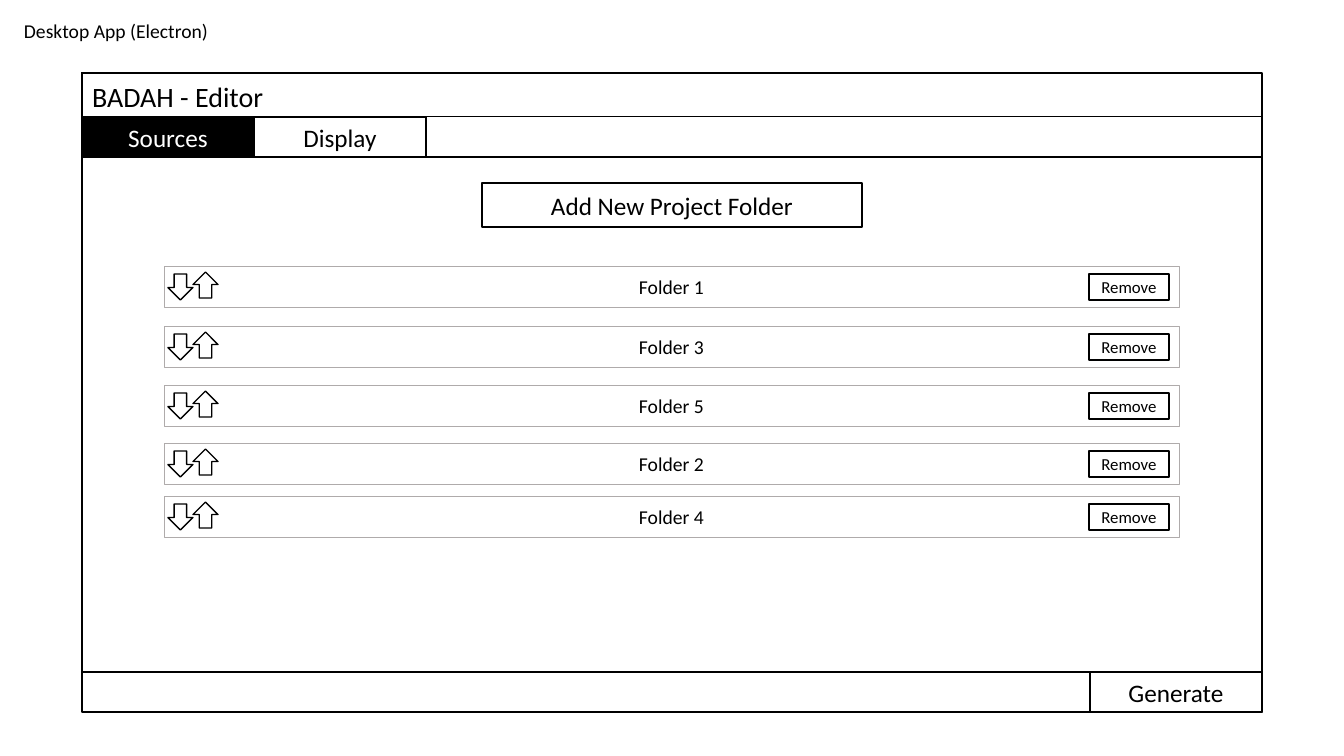
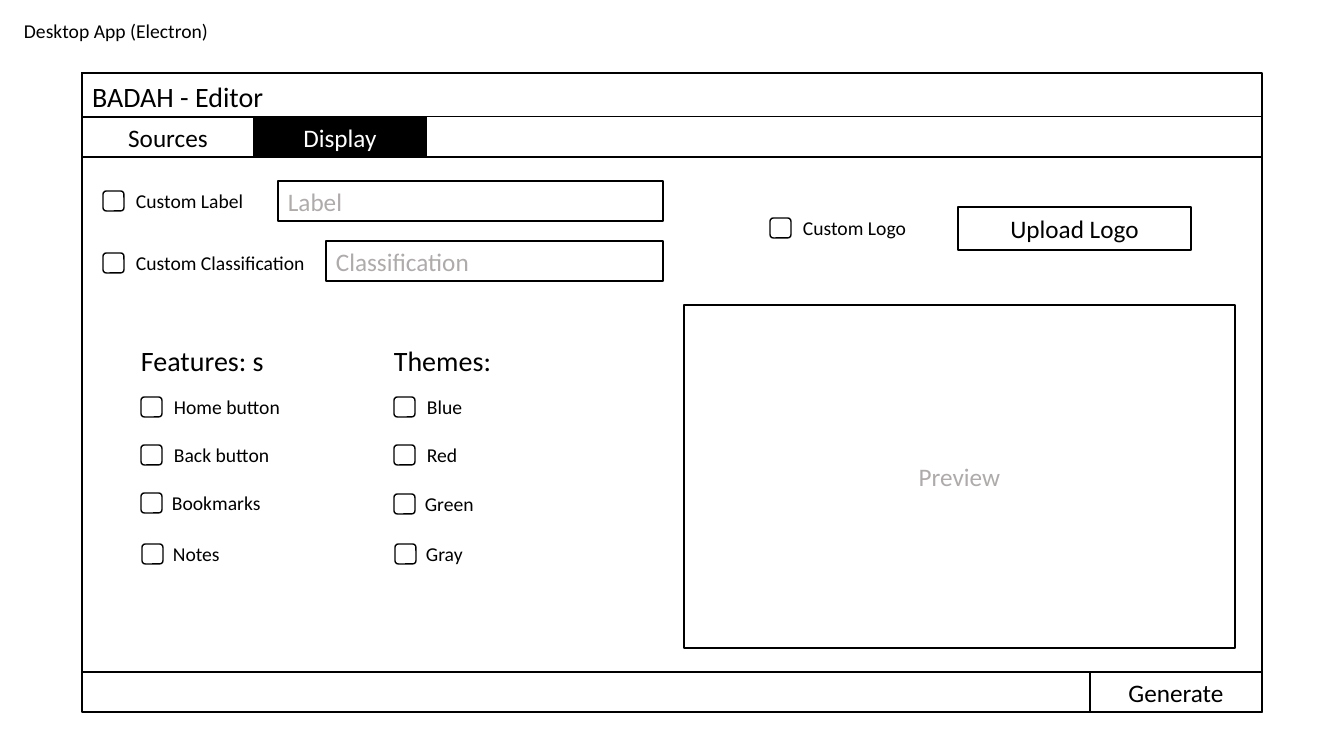
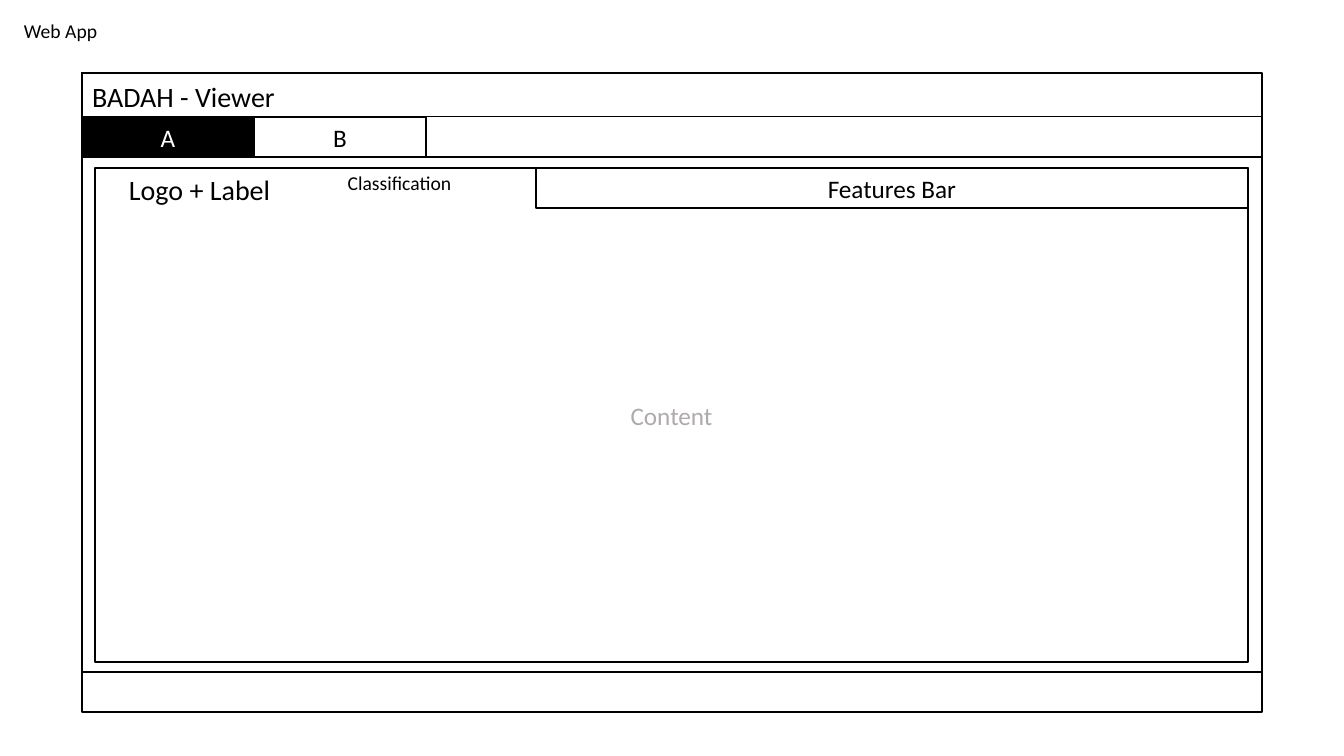
"""Build three wireframe slides of a desktop editor and its web viewer."""
from dataclasses import dataclass

import pptx
import pptx.dml.color
import pptx.enum.shapes
import pptx.enum.text
import pptx.shapes.autoshape
import pptx.slide
import pptx.text.text
import pptx.util

EMU_PER_PX = 914400 / 100.8
BLACK, WHITE, GRAY = "000000", "FFFFFF", "AFABAB"
FONT = "Calibri"
SHAPE = pptx.enum.shapes.MSO_SHAPE
ALIGN = pptx.enum.text.PP_ALIGN
ANCHOR = pptx.enum.text.MSO_ANCHOR

WIN_X, WIN_Y, WIN_W, WIN_H = 82, 73, 1180, 639
BAR_H, TAB_W, TAB_H = 44, 172, 40
TAB_Y = WIN_Y + BAR_H
BODY_Y = TAB_Y + TAB_H
FOOT_Y = WIN_Y + WIN_H - TAB_H


@dataclass(frozen=True)
class Box:
    """An outlined shape that may hold one line of text."""
    x: int
    y: int
    w: int
    h: int
    text: str = ""
    size: int = 18
    color: str = BLACK
    align: ALIGN = ALIGN.CENTER
    fill: str = ""
    line: str = BLACK
    weight: float = 1
    kind: SHAPE = SHAPE.RECTANGLE
    rotation: int = 0


@dataclass(frozen=True)
class Label:
    """A plain line of text, placed by its text box."""
    text: str
    x: int
    y: int
    w: int = 194
    h: int = 34
    size: int = 14
    align: ALIGN = ALIGN.LEFT


@dataclass(frozen=True)
class Check:
    """A checkbox with the distance to its caption."""
    text: str
    x: int
    y: int
    gap: int = 23


@dataclass(frozen=True)
class Window:
    """The frame around a screen: caption, title, tabs and active tab."""
    caption: str
    title: str
    tabs: tuple[str, ...]
    active: int


@dataclass(frozen=True)
class Folder:
    """A project folder row in the source list."""
    name: str
    y: int


def px(n: float) -> pptx.util.Emu:
    """Turn pixels into EMU."""
    return pptx.util.Emu(round(n * EMU_PER_PX))


def rgb(color: str) -> pptx.dml.color.RGBColor:
    """Turn a hex string into a colour."""
    return pptx.dml.color.RGBColor.from_string(color)


def assign(target: object, values: dict[str, object]) -> None:
    """Set each named attribute of the target."""
    for name, value in values.items():
        setattr(target, name, value)


def write(tf: pptx.text.text.TextFrame, text: str, size: int, color: str,
          align: ALIGN, anchor: ANCHOR) -> None:
    """Put one formatted line into a text frame."""
    assign(tf, {"word_wrap": True, "vertical_anchor": anchor,
                "auto_size": pptx.enum.text.MSO_AUTO_SIZE.NONE})
    p = tf.paragraphs[0]
    p.alignment = align
    r = p.add_run()
    r.text = text
    assign(r.font, {"name": FONT, "size": pptx.util.Pt(size)})
    r.font.color.rgb = rgb(color)


def add_box(s: pptx.slide.Slide, box: Box) -> pptx.shapes.autoshape.Shape:
    """Draw an outlined shape."""
    sp = s.shapes.add_shape(box.kind, px(box.x), px(box.y), px(box.w), px(box.h))
    sp.shadow.inherit = False
    sp.rotation = box.rotation
    if box.fill:
        sp.fill.solid()
        sp.fill.fore_color.rgb = rgb(box.fill)
    else:
        sp.fill.background()
    sp.line.color.rgb = rgb(box.line)
    sp.line.width = pptx.util.Pt(box.weight)
    if box.text:
        write(sp.text_frame, box.text, box.size, box.color, box.align, ANCHOR.MIDDLE)
    return sp


def add_label(s: pptx.slide.Slide, label: Label) -> None:
    """Draw a line of text."""
    sp = s.shapes.add_textbox(px(label.x), px(label.y), px(label.w), px(label.h))
    write(sp.text_frame, label.text, label.size, BLACK, label.align, ANCHOR.TOP)


def add_check(s: pptx.slide.Slide, check: Check) -> None:
    """Draw a checkbox and its caption."""
    add_box(s, Box(check.x, check.y, 21, 20, fill=WHITE, kind=SHAPE.ROUNDED_RECTANGLE))
    add_label(s, Label(check.text, check.x + check.gap, check.y - 7))


def add_folder(s: pptx.slide.Slide, folder: Folder) -> None:
    """Draw a folder row with its arrows and remove button."""
    y = folder.y
    add_box(s, Box(164, y, 1015, 41, folder.name, 14, line=GRAY, weight=0.25))
    add_box(s, Box(1089, y + 8, 80, 26, "Remove", 12))
    for x, dy, rotation in ((168, 8, 0), (193, 6, 180)):
        add_box(s, Box(x, y + dy, 25, 26, fill=WHITE, kind=SHAPE.DOWN_ARROW,
                       rotation=rotation))


def add_window(prs: pptx.presentation.Presentation, window: Window) -> pptx.slide.Slide:
    """Add a slide with the window frame, title and tabs."""
    s = prs.slides.add_slide(prs.slide_layouts[5])
    assign(s.shapes.title, {"left": px(WIN_X), "top": px(WIN_Y + 1),
                            "width": px(245), "height": px(BAR_H)})
    write(s.shapes.title.text_frame, window.title, 20, BLACK, ALIGN.LEFT, ANCHOR.TOP)
    add_label(s, Label(window.caption, 14, 14, 296))
    add_box(s, Box(WIN_X, WIN_Y, WIN_W, BAR_H, weight=0.75))
    add_box(s, Box(WIN_X, WIN_Y, WIN_W, WIN_H))
    for i, tab in enumerate(window.tabs):
        color, fill = (WHITE, BLACK) if i == window.active else (BLACK, "")
        add_box(s, Box(WIN_X + i * TAB_W, TAB_Y, TAB_W, TAB_H, tab,
                       color=color, fill=fill))
    add_box(s, Box(WIN_X, BODY_Y, WIN_W, FOOT_Y - BODY_Y))
    return s


def add_editor(prs: pptx.presentation.Presentation, active: int) -> pptx.slide.Slide:
    """Add an editor window with its generate button."""
    s = add_window(prs, Window("Desktop App (Electron)", "BADAH - Editor",
                               ("Sources", "Display"), active))
    add_box(s, Box(WIN_X + WIN_W - TAB_W, FOOT_Y, TAB_W, TAB_H, "Generate"))
    return s


def build_sources(prs: pptx.presentation.Presentation) -> None:
    """Build the editor's source list."""
    s = add_editor(prs, 0)
    add_box(s, Box(482, 183, 380, 44, "Add New Project Folder"))
    for folder in (Folder("Folder 1", 266), Folder("Folder 3", 326),
                   Folder("Folder 5", 385), Folder("Folder 2", 443),
                   Folder("Folder 4", 496)):
        add_folder(s, folder)


def build_display(prs: pptx.presentation.Presentation) -> None:
    """Build the editor's display settings."""
    s = add_editor(prs, 1)
    for box in (Box(278, 181, 385, 40, "Label", color=GRAY, align=ALIGN.LEFT),
                Box(326, 241, 337, 40, "Classification", color=GRAY, align=ALIGN.LEFT),
                Box(684, 305, 551, 343, "Preview", color=GRAY),
                Box(958, 207, 233, 43, "Upload Logo")):
        add_box(s, box)
    for label in (Label("Features: s", 131, 339, h=44, size=20),
                  Label("Themes:", 384, 339, h=44, size=20)):
        add_label(s, label)
    for check in (Check("Custom Label", 103, 191), Check("Custom Classification", 103, 253),
                  Check("Custom Logo", 770, 218),
                  Check("Home button", 141, 397), Check("Back button", 141, 445),
                  Check("Bookmarks", 141, 493, 21), Check("Notes", 142, 544, 21),
                  Check("Blue", 394, 397), Check("Red", 394, 445),
                  Check("Green", 394, 494, 21), Check("Gray", 395, 544, 21)):
        add_check(s, check)


def build_viewer(prs: pptx.presentation.Presentation) -> None:
    """Build the web viewer."""
    s = add_window(prs, Window("Web App", "BADAH - Viewer", ("A", "B"), 0))
    add_label(s, Label("Logo + Label", 119, 168, 245, 44, 20))
    add_label(s, Label("Classification", 277, 166, 245, align=ALIGN.CENTER))
    add_box(s, Box(95, 168, 1153, 494, "Content", color=GRAY))
    add_box(s, Box(536, 168, 712, 40, "Features Bar"))


def main() -> None:
    """Build and save the presentation."""
    prs = pptx.Presentation()
    assign(prs, {"slide_width": px(1344), "slide_height": px(756)})
    for build in (build_sources, build_display, build_viewer):
        build(prs)
    prs.save("out.pptx")


main()
